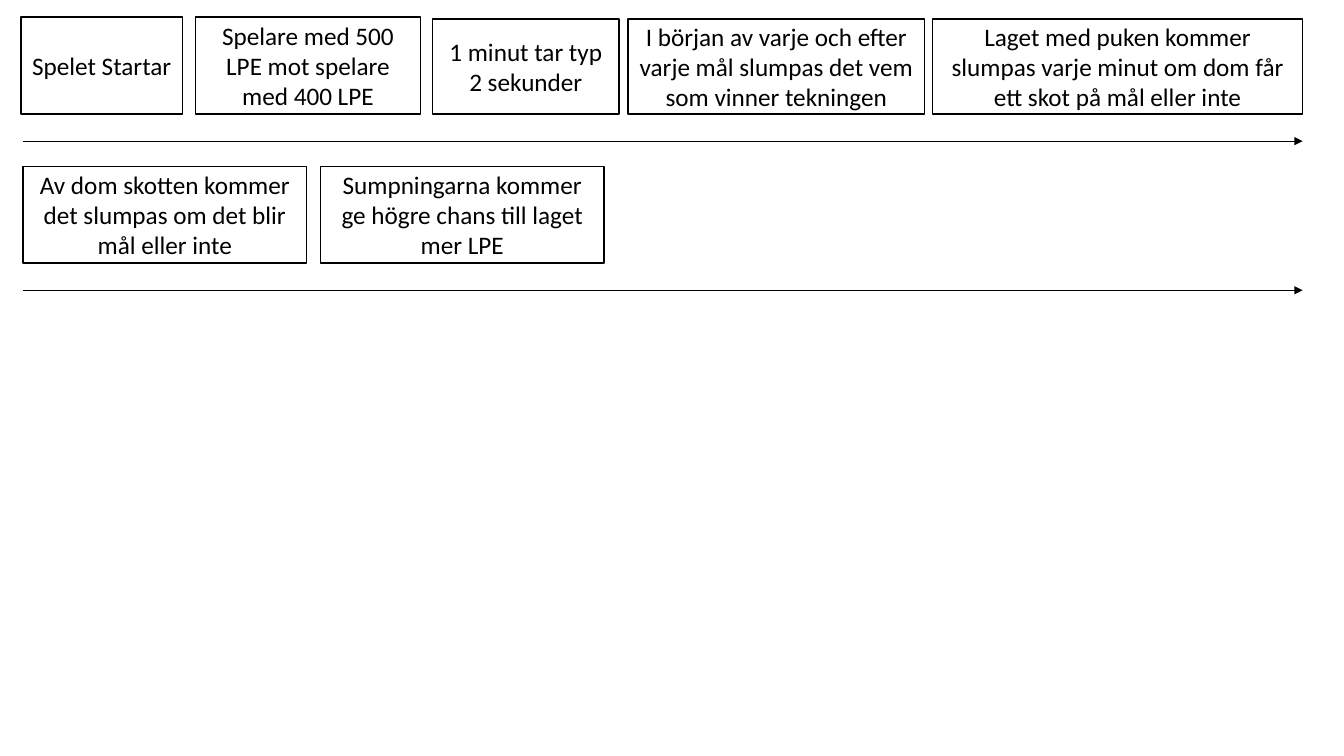
from dataclasses import dataclass

from lxml.etree import SubElement
from pptx import Presentation
from pptx.dml.color import RGBColor
from pptx.enum.shapes import MSO_CONNECTOR, MSO_SHAPE
from pptx.enum.text import MSO_ANCHOR, PP_ALIGN
from pptx.oxml.ns import qn
from pptx.util import Inches, Pt


@dataclass(frozen=True)
class Theme:
    ink: RGBColor = RGBColor(0x00, 0x00, 0x00)
    font: str = "Calibri"
    text_size: Pt = Pt(18)
    box_line: Pt = Pt(1)
    arrow_line: Pt = Pt(0.5)


class FlowSlide:
    def __init__(self, slide, theme):
        self.shapes = slide.shapes
        self.theme = theme

    def step(self, text, left, top, width, height):
        box = self.shapes.add_shape(
            MSO_SHAPE.RECTANGLE, Inches(left), Inches(top), Inches(width), Inches(height)
        )
        box.shadow.inherit = False
        box.fill.background()
        box.line.color.rgb = self.theme.ink
        box.line.width = self.theme.box_line
        frame = box.text_frame
        frame.word_wrap = True
        frame.vertical_anchor = MSO_ANCHOR.MIDDLE
        paragraph = frame.paragraphs[0]
        paragraph.text = text
        paragraph.alignment = PP_ALIGN.CENTER
        paragraph.font.name = self.theme.font
        paragraph.font.size = self.theme.text_size
        paragraph.font.color.rgb = self.theme.ink

    def timeline(self, start, end, y):
        arrow = self.shapes.add_connector(
            MSO_CONNECTOR.STRAIGHT, Inches(start), Inches(y), Inches(end), Inches(y)
        )
        arrow.line.color.rgb = self.theme.ink
        arrow.line.width = self.theme.arrow_line
        SubElement(arrow.line._get_or_add_ln(), qn("a:tailEnd"), type="triangle")
        SubElement(arrow._element.spPr, qn("a:effectLst"))


TIMELINE_START, TIMELINE_END = 0.23, 12.92
TIMELINE_GAP = 0.27

ROWS = [
    (1.13, [
        ("Spelet Startar", 0.21, 1.6, 0.96),
        ("Spelare med 500 LPE mot spelare med 400 LPE", 1.94, 2.23, 0.96),
        ("1 minut tar typ 2 sekunder", 4.29, 1.85, 0.94),
        ("I början av varje och efter varje mål slumpas det vem som vinner tekningen",
         6.23, 2.94, 0.94),
        ("Laget med puken kommer slumpas varje minut om dom får ett skot på mål eller inte",
         9.25, 3.67, 0.94),
    ]),
    (2.61, [
        ("Av dom skotten kommer det slumpas om det blir mål eller inte", 0.23, 2.81, 0.96),
        ("Sumpningarna kommer ge högre chans till laget mer LPE", 3.18, 2.81, 0.96),
    ]),
]


def main():
    presentation = Presentation()
    presentation.slide_width = Inches(13.33)
    presentation.slide_height = Inches(7.5)
    flow = FlowSlide(presentation.slides.add_slide(presentation.slide_layouts[6]), Theme())
    for bottom, steps in ROWS:
        for text, left, width, height in steps:
            flow.step(text, left, bottom - height, width, height)
        flow.timeline(TIMELINE_START, TIMELINE_END, bottom + TIMELINE_GAP)
    presentation.save("out.pptx")


if __name__ == "__main__":
    main()
